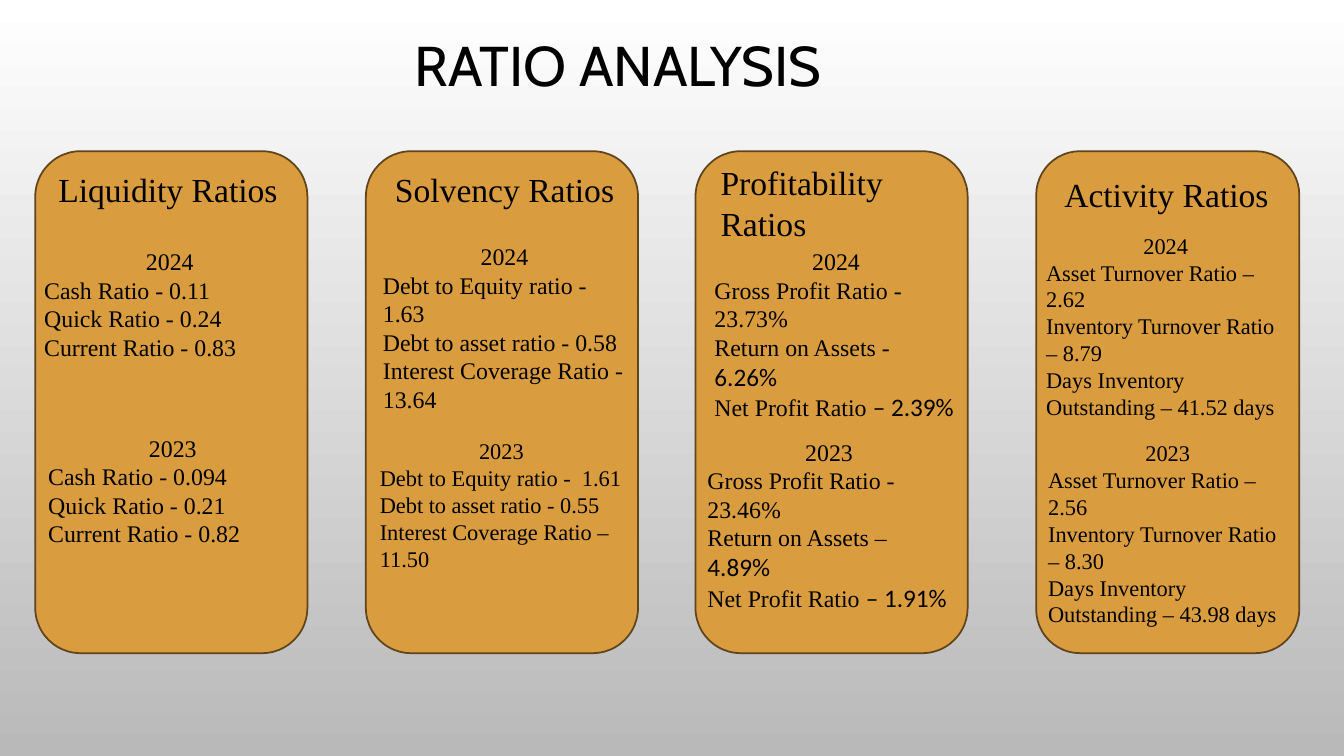
from dataclasses import dataclass

from pptx import Presentation
from pptx.dml.color import RGBColor
from pptx.enum.shapes import MSO_AUTO_SHAPE_TYPE as ShapeType
from pptx.enum.text import MSO_ANCHOR as Anchor, PP_ALIGN as Align
from pptx.slide import Slide
from pptx.text.text import TextFrame, _Run as Run
from pptx.util import Inches, Pt

COLORS = {
    "top": "FFFFFF",
    "bottom": "B9B9B9",
    "card": "D99C3F",
    "border": "5F441C",
    "text": "000000",
}
SERIF = "Times New Roman"
SANS = "Calibri"
SLIDE_WIDTH = Inches(13.33)
SLIDE_HEIGHT = Inches(7.5)
COLUMN = SLIDE_WIDTH / 40
ROW = SLIDE_HEIGHT / 30
FIGURE_MARK = "|"


@dataclass(frozen=True)
class Area:
    column: float
    row: float
    columns: float
    rows: float

    def emu(self) -> tuple[int, int, int, int]:
        return (
            round(self.column * COLUMN),
            round(self.row * ROW),
            round(self.columns * COLUMN),
            round(self.rows * ROW),
        )


@dataclass(frozen=True)
class YearBlock:
    area: Area
    year: str
    ratios: tuple[str, ...]
    size: int = 17


@dataclass(frozen=True)
class RatioCard:
    area: Area
    heading: str
    heading_area: Area
    blocks: tuple[YearBlock, ...]


CARDS = (
    RatioCard(
        Area(1.05, 6, 8.1, 19.92), "Liquidity Ratios", Area(1.44, 6.52, 7.2, 2),
        (
            YearBlock(Area(1.02, 9.6, 8.07, 5), "2024", (
                "Cash Ratio - 0.11", "Quick Ratio - 0.24", "Current Ratio - 0.83")),
            YearBlock(Area(1.14, 17, 8.01, 5), "2023", (
                "Cash Ratio - 0.094", "Quick Ratio - 0.21", "Current Ratio - 0.82")),
        ),
    ),
    RatioCard(
        Area(10.89, 6, 8.1, 19.92), "Solvency Ratios", Area(11.46, 6.52, 7.2, 2),
        (
            YearBlock(Area(11.1, 9.4, 7.83, 7.28), "2024", (
                "Debt to Equity ratio - 1.63", "Debt to asset ratio - 0.58",
                "Interest Coverage Ratio - 13.64")),
            YearBlock(Area(11.01, 17.16, 7.83, 5.84), "2023", (
                "Debt to Equity ratio -  1.61", "Debt to asset ratio - 0.55",
                "Interest Coverage Ratio – 11.50"), 16),
        ),
    ),
    RatioCard(
        Area(20.7, 6, 8.1, 19.92), "Profitability Ratios", Area(21.15, 6.24, 6.93, 3.64),
        (
            YearBlock(Area(20.97, 9.6, 7.83, 7.32), "2024", (
                "Gross Profit Ratio - 23.73%", "Return on Assets - |6.26%",
                "Net Profit Ratio |– 2.39%")),
            YearBlock(Area(20.76, 17.16, 7.83, 7.4), "2023", (
                "Gross Profit Ratio - 23.46%", "Return on Assets – |4.89%",
                "Net Profit Ratio |– 1.91%")),
        ),
    ),
    RatioCard(
        Area(30.84, 6, 7.83, 19.92), "Activity Ratios", Area(31.38, 6.72, 7.2, 2),
        (
            YearBlock(Area(30.84, 9, 7.71, 7.96), "2024", (
                "Asset Turnover Ratio – 2.62", "Inventory Turnover Ratio – 8.79",
                "Days Inventory Outstanding – 41.52 days"), 16),
            YearBlock(Area(30.9, 17.24, 7.71, 7.96), "2023", (
                "Asset Turnover Ratio – 2.56", "Inventory Turnover Ratio – 8.30",
                "Days Inventory Outstanding – 43.98 days"), 16),
        ),
    ),
)


def color(name: str) -> RGBColor:
    return RGBColor.from_string(COLORS[name])


def format_run(run: Run, size: int, font: str = SERIF) -> None:
    run.font.size = Pt(size)
    run.font.name = font
    run.font.color.rgb = color("text")


def add_text(slide: Slide, area: Area, text: str, size: int, font: str = SERIF) -> TextFrame:
    text_frame = slide.shapes.add_textbox(*area.emu()).text_frame
    text_frame.word_wrap = True
    text_frame.text = text
    for paragraph in text_frame.paragraphs:
        for run in paragraph.runs:
            format_run(run, size, font)
    return text_frame


def paint_background(slide: Slide) -> None:
    fill = slide.background.fill
    fill.gradient()
    fill.gradient_angle = 270
    for stop, position, name in zip(fill.gradient_stops, (0, 1), ("top", "bottom")):
        stop.position = position
        stop.color.rgb = color(name)


def add_title(slide: Slide) -> None:
    text_frame = add_text(slide, Area(2.13, 0.68, 32.53, 4.08), "RATIO ANALYSIS", 40, "Cabin")
    text_frame.vertical_anchor = Anchor.MIDDLE
    text_frame.paragraphs[0].alignment = Align.CENTER
    text_frame.paragraphs[0].line_spacing = 0.9


def add_block(slide: Slide, block: YearBlock) -> None:
    text_frame = add_text(slide, block.area, block.year, block.size)
    text_frame.paragraphs[0].alignment = Align.CENTER
    for ratio in block.ratios:
        label, _, figure = ratio.partition(FIGURE_MARK)
        paragraph = text_frame.add_paragraph()
        paragraph.text = label
        format_run(paragraph.runs[0], block.size)
        if figure:
            run = paragraph.add_run()
            run.text = figure
            format_run(run, 18, SANS)


def add_card(slide: Slide, card: RatioCard) -> None:
    shape = slide.shapes.add_shape(ShapeType.FLOWCHART_ALTERNATE_PROCESS, *card.area.emu())
    shape.shadow.inherit = False
    shape.fill.solid()
    shape.fill.fore_color.rgb = color("card")
    shape.line.color.rgb = color("border")
    shape.line.width = Pt(1.25)
    add_text(slide, card.heading_area, card.heading, 24)
    for block in card.blocks:
        add_block(slide, block)


def main() -> None:
    presentation = Presentation()
    presentation.slide_width = SLIDE_WIDTH
    presentation.slide_height = SLIDE_HEIGHT
    slide = presentation.slides.add_slide(presentation.slide_layouts[6])
    paint_background(slide)
    add_title(slide)
    for card in CARDS:
        add_card(slide, card)
    presentation.save("out.pptx")


if __name__ == "__main__":
    main()
